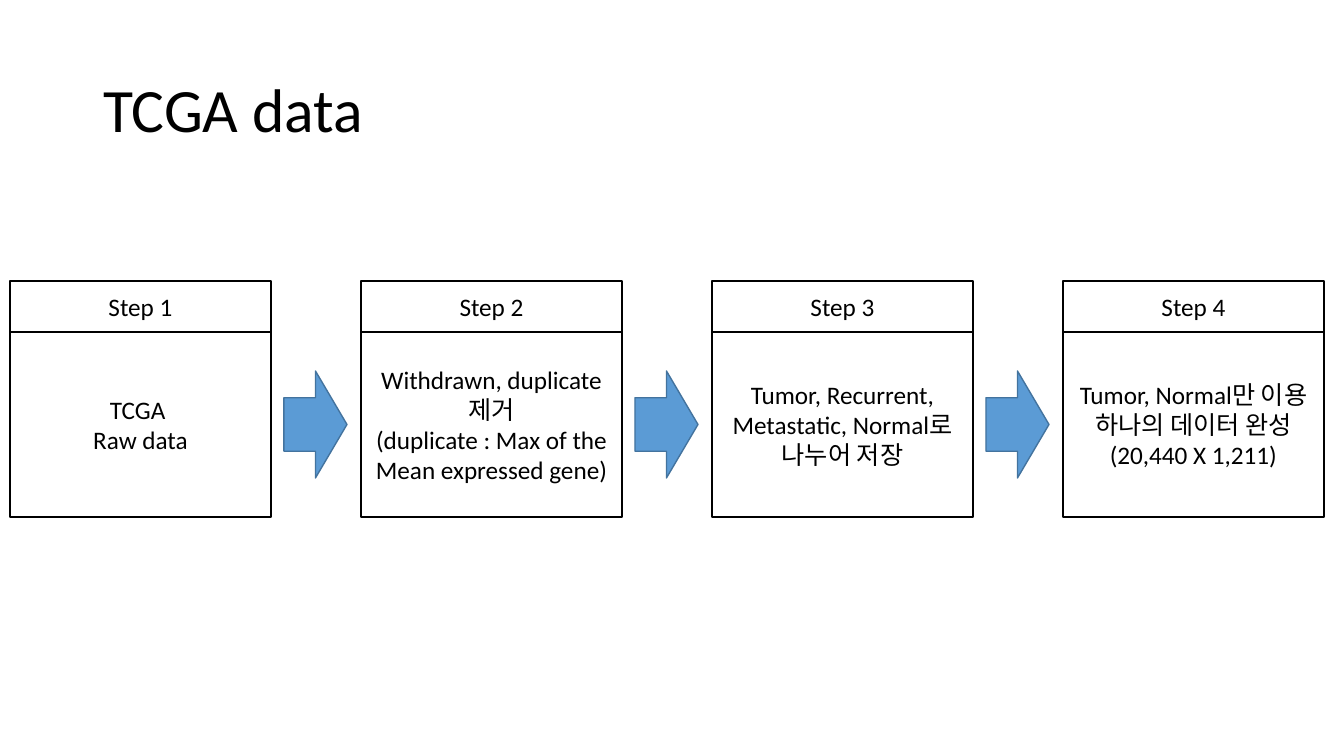
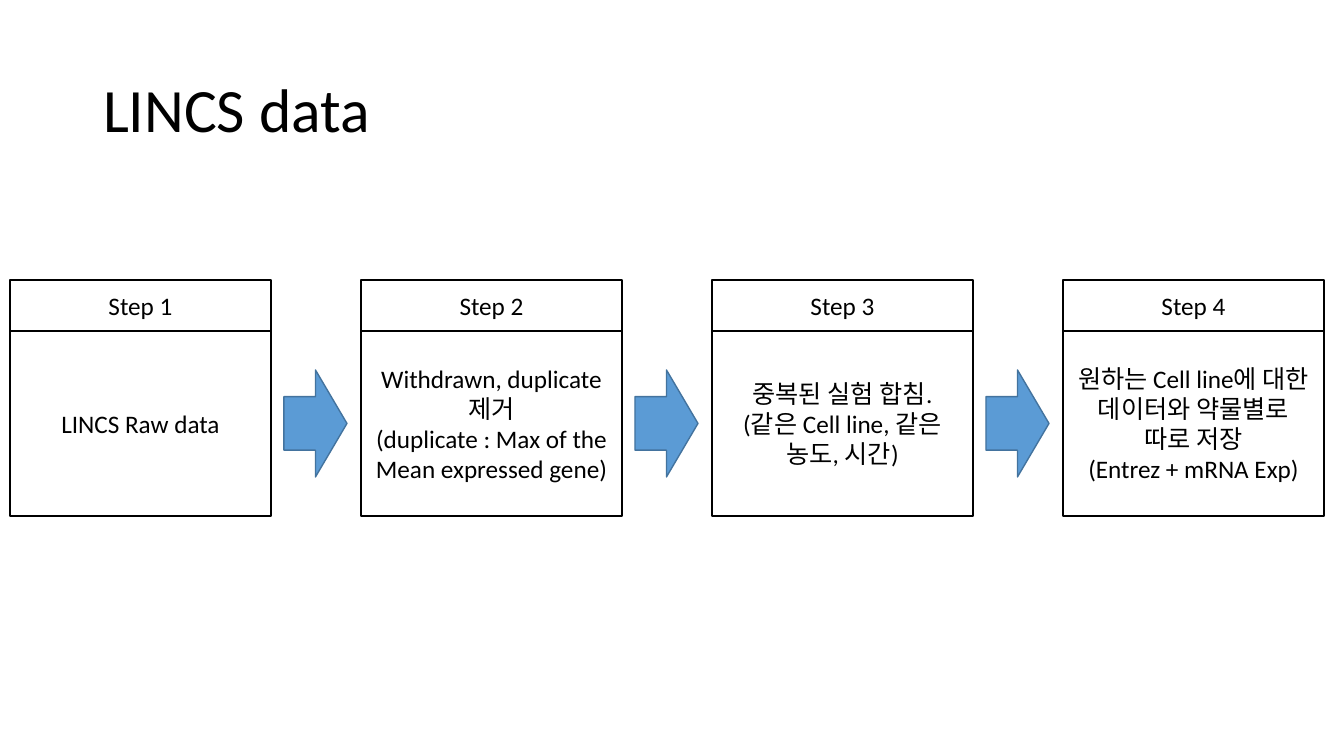
from dataclasses import dataclass

from pptx import Presentation
from pptx.dml.color import RGBColor
from pptx.enum.shapes import MSO_SHAPE
from pptx.enum.text import MSO_ANCHOR, MSO_AUTO_SIZE, PP_ALIGN
from pptx.util import Emu, Pt

RECTANGLE = MSO_SHAPE.RECTANGLE
RIGHT_ARROW = MSO_SHAPE.RIGHT_ARROW
MIDDLE = MSO_ANCHOR.MIDDLE
NO_AUTOFIT = MSO_AUTO_SIZE.NONE
LEFT = PP_ALIGN.LEFT
CENTER = PP_ALIGN.CENTER

PIXELS_PER_INCH = 100.8
EMU_PER_PIXEL = 914400 / PIXELS_PER_INCH
SLIDE_SIZE = (1344, 756)
TITLE_BOX = (93, 40, 1159, 146)
FIRST_LEFT = 10
STEP_PITCH = 351
STEP_WIDTH = 261
HEADER_HEIGHT = 51
BODY_HEIGHT = 185
ARROW_OFFSET = (274, 90)
ARROW_SIZE = (63, 107)

FILTER_STEP = "Withdrawn, duplicate제거\n(duplicate : Max of the Mean expressed gene)"
FLOWS = [
    ("TCGA data", 281, [
        "TCGA \nRaw data",
        FILTER_STEP,
        "Tumor, Recurrent, Metastatic, Normal로 나누어 저장",
        "Tumor, Normal만 이용 하나의 데이터 완성\n(20,440 X 1,211)",
    ]),
    ("LINCS data", 280, [
        "LINCS Raw data",
        FILTER_STEP,
        "중복된 실험 합침.\n(같은 Cell line, 같은 농도, 시간)",
        "원하는 Cell line에 대한 데이터와 약물별로 따로 저장\n(Entrez + mRNA Exp)",
    ]),
]


@dataclass(frozen=True)
class Theme:
    """Colours, font, type sizes and line widths of the deck."""
    font: str = "Calibri"
    text: str = "000000"
    box_fill: str = "FFFFFF"
    box_line: str = "000000"
    arrow_fill: str = "5B9BD5"
    arrow_line: str = "43739E"
    title_size: int = 44
    body_size: int = 18
    box_line_width: float = 1.5
    arrow_line_width: float = 1


def px(length):
    """Turn a length in pixels into EMU."""
    return Emu(round(length * EMU_PER_PIXEL))


def write_text(frame, text, *, font, size, color, align=CENTER, line_spacing=None):
    """Write each line of text as one formatted paragraph."""
    frame.word_wrap = True
    frame.auto_size = NO_AUTOFIT
    frame.vertical_anchor = MIDDLE
    frame.text = text
    for paragraph in frame.paragraphs:
        paragraph.alignment = align
        paragraph.line_spacing = line_spacing
        for run in paragraph.runs:
            run.font.name = font
            run.font.size = Pt(size)
            run.font.color.rgb = RGBColor.from_string(color)


class Deck:
    """A presentation with its style and current slide."""

    def __init__(self, theme):
        """Start an empty widescreen presentation."""
        self.theme = theme
        self.presentation = Presentation()
        self.presentation.slide_width, self.presentation.slide_height = map(px, SLIDE_SIZE)
        self.layout = self.presentation.slide_layouts.get_by_name("Title Only")
        self.slide = None

    def add_slide(self, title):
        """Add a slide and fill its title placeholder."""
        self.slide = self.presentation.slides.add_slide(self.layout)
        shape = self.slide.shapes.title
        shape.left, shape.top, shape.width, shape.height = map(px, TITLE_BOX)
        write_text(shape.text_frame, title, font=self.theme.font,
                   size=self.theme.title_size, color=self.theme.text,
                   align=LEFT, line_spacing=0.9)

    def add_shape(self, kind, bounds, fill, line, line_width):
        """Add a filled, outlined shape without a shadow."""
        shape = self.slide.shapes.add_shape(kind, *map(px, bounds))
        shape.shadow.inherit = False
        shape.fill.solid()
        shape.fill.fore_color.rgb = RGBColor.from_string(fill)
        shape.line.color.rgb = RGBColor.from_string(line)
        shape.line.width = Pt(line_width)
        return shape

    def add_box(self, bounds, text):
        """Add an outlined rectangle with centred text."""
        theme = self.theme
        shape = self.add_shape(RECTANGLE, bounds, theme.box_fill,
                               theme.box_line, theme.box_line_width)
        write_text(shape.text_frame, text, font=theme.font,
                   size=theme.body_size, color=theme.text)

    def add_arrow(self, bounds):
        """Add a block arrow pointing to the next step."""
        theme = self.theme
        self.add_shape(RIGHT_ARROW, bounds, theme.arrow_fill,
                       theme.arrow_line, theme.arrow_line_width)

    def add_flow(self, top, steps):
        """Add a row of numbered steps with arrows between them."""
        for index, text in enumerate(steps):
            left = FIRST_LEFT + index * STEP_PITCH
            self.add_box((left, top + HEADER_HEIGHT, STEP_WIDTH, BODY_HEIGHT), text)
            if index < len(steps) - 1:
                self.add_arrow((left + ARROW_OFFSET[0], top + ARROW_OFFSET[1], *ARROW_SIZE))
            self.add_box((left, top, STEP_WIDTH, HEADER_HEIGHT), f"Step {index + 1}")


def main():
    """Build both data flow slides and save them."""
    deck = Deck(Theme())
    for title, top, steps in FLOWS:
        deck.add_slide(title)
        deck.add_flow(top, steps)
    deck.presentation.save("out.pptx")


if __name__ == "__main__":
    main()
